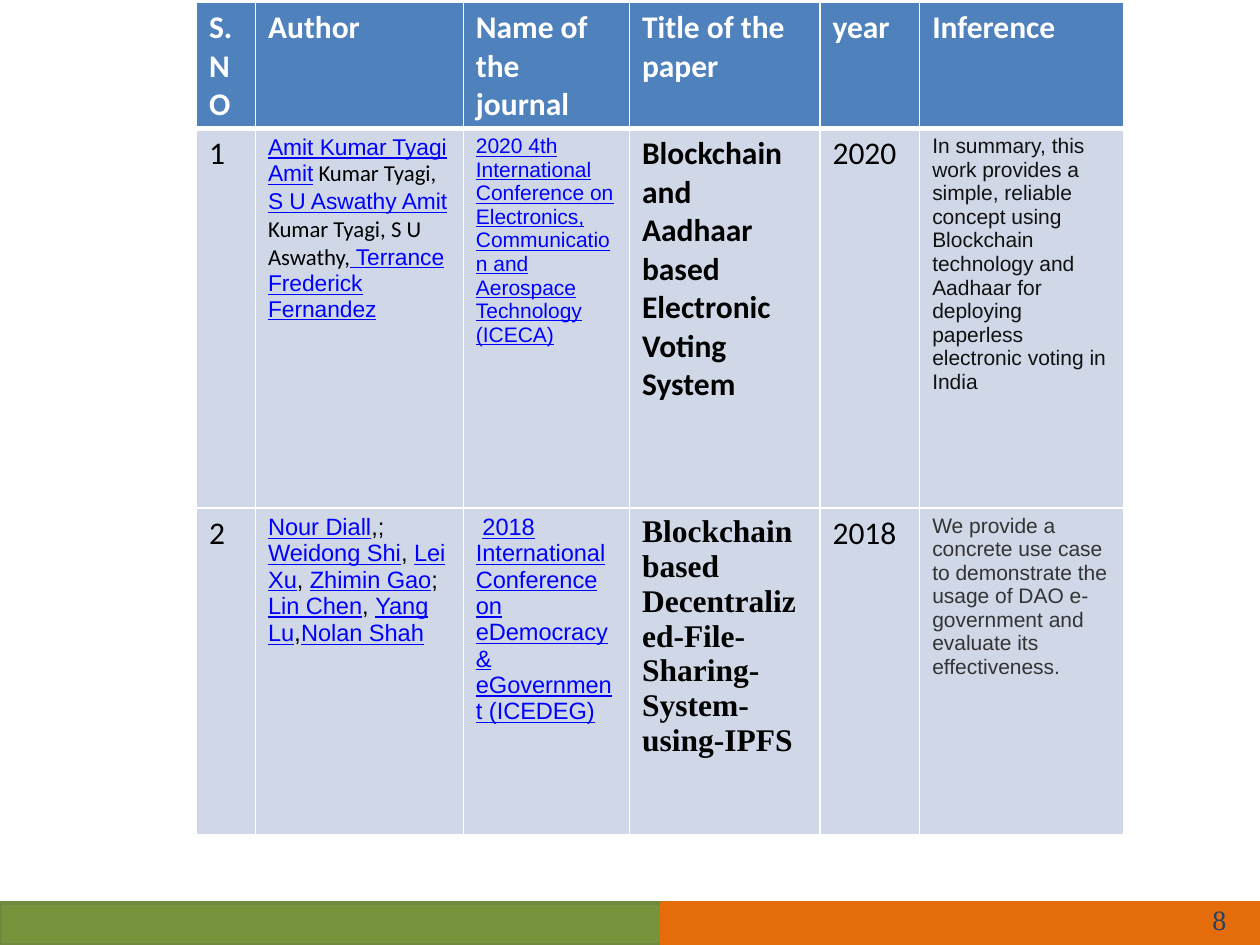
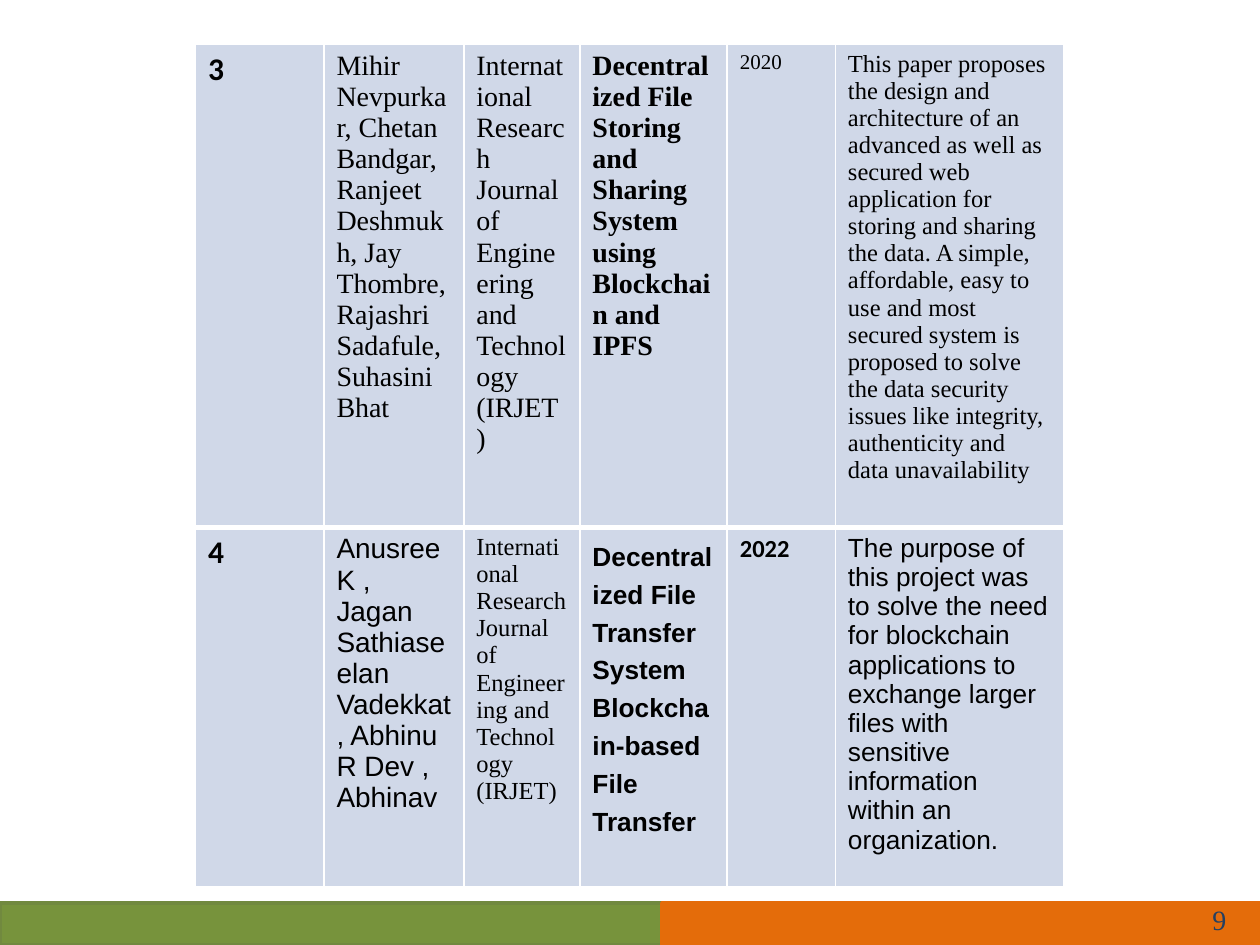
from dataclasses import dataclass, replace

from lxml.etree import SubElement
from pptx import Presentation
from pptx.dml.color import RGBColor
from pptx.enum.shapes import MSO_SHAPE as Preset
from pptx.enum.text import MSO_ANCHOR as Anchor, PP_ALIGN as Align
from pptx.oxml.ns import qn
from pptx.util import Cm, Pt

GREEN = RGBColor(0x77, 0x93, 0x3C)
DARK_GREEN = RGBColor(0x71, 0x89, 0x3F)
ORANGE = RGBColor(0xE4, 0x6C, 0x0A)
NAVY = RGBColor(0x25, 0x40, 0x61)
HEADER_BLUE = RGBColor(0x4F, 0x81, 0xBD)
PALE_BLUE = RGBColor(0xD0, 0xD8, 0xE8)
LINK_BLUE = RGBColor(0x00, 0x00, 0xFF)
WHITE = RGBColor(0xFF, 0xFF, 0xFF)
BLACK = RGBColor(0x00, 0x00, 0x00)
NEAR_BLACK = RGBColor(0x11, 0x11, 0x11)
DARK_GREY = RGBColor(0x33, 0x33, 0x33)

SLIDE_WIDTH, SLIDE_HEIGHT = 25.4, 19.05
BAND_TOP, BAND_SPLIT = 18.2, 13.34


@dataclass(frozen=True)
class Style:
    face: str
    size: float
    color: RGBColor = BLACK
    bold: bool = False
    underline: bool = False

    def apply(self, font):
        font.name = self.face
        font.size = Pt(self.size)
        font.color.rgb = self.color
        font.bold = self.bold
        font.underline = self.underline


@dataclass(frozen=True)
class Entry:
    text: str
    style: Style
    align: Align = None
    line_spacing: float = None
    space_after: float = None


def calibri(size, **options):
    return Style("Calibri", size, **options)


def arial(size, **options):
    return Style("Arial", size, **options)


def times(size, **options):
    return Style("Times New Roman", size, **options)


def link(size):
    return arial(size, color=LINK_BLUE, underline=True)


HEADING = calibri(18, color=WHITE, bold=True)
BODY = calibri(18)
STRONG = replace(BODY, bold=True)
IRJET = "International Research Journal of Engineering and Technology (IRJET)"

HEADINGS = [Entry(heading, HEADING) for heading in (
    "S.NO", "Author", "Name of the journal", "Title of the paper", "year", "Inference")]

VOTING_AUTHORS = [
    Entry("Amit Kumar Tyagi Amit", link(13)),
    Entry(" Kumar Tyagi,", calibri(13)),
    Entry(" S U Aswathy Amit", link(13)),
    Entry(" Kumar Tyagi, S U Aswathy,", calibri(13)),
    Entry(" Terrance Frederick Fernandez", link(13)),
]

SHARING_AUTHORS = [
    Entry(text, style)
    for name, separator, size in (
        ("Nour Diall", ",; ", 13.5), ("Weidong Shi", ", ", 13.5), ("Lei Xu", ", ", 13.5),
        ("Zhimin Gao", "; ", 13.5), ("Lin Chen", ", ", 13.5), ("Yang Lu", ",", 14))
    for text, style in ((name, link(13.5)), (separator, arial(size)))
] + [Entry("Nolan Shah", link(13.5))]

VOTING_PAPER = [
    Entry("1", BODY),
    VOTING_AUTHORS,
    Entry("2020 4th International Conference on Electronics, Communication and "
          "Aerospace Technology (ICECA)", link(12)),
    Entry("Blockchain and Aadhaar based Electronic Voting System", STRONG),
    Entry("2020", BODY),
    Entry("In summary, this work provides a simple, reliable concept using Blockchain "
          "technology and Aadhaar for deploying paperless electronic voting in India",
          arial(12, color=NEAR_BLACK)),
]

SHARING_PAPER = [
    Entry("2", BODY),
    SHARING_AUTHORS,
    [Entry(" ", arial(13.5, bold=True)),
     Entry("2018 International Conference on eDemocracy & eGovernment (ICEDEG)", link(13.5))],
    Entry("Blockchain based Decentralized-File-Sharing-System-using-IPFS",
          times(18, bold=True), align=Align.JUSTIFY),
    Entry("2018", BODY),
    Entry("We provide a concrete use case to demonstrate the usage of DAO e-government "
          "and evaluate its effectiveness.", arial(12, color=DARK_GREY)),
]

STORING_PAPER = [
    Entry("3", STRONG),
    Entry("Mihir Nevpurkar, Chetan Bandgar, Ranjeet Deshmukh, Jay Thombre, "
          "Rajashri Sadafule, Suhasini Bhat", times(16)),
    Entry(IRJET, times(16)),
    Entry("Decentralized File Storing and Sharing System using Blockchain and IPFS",
          times(16, bold=True)),
    Entry("2020", times(12)),
    Entry("This paper proposes the design and architecture of an advanced as well as "
          "secured web application for storing and sharing the data. A simple, affordable, "
          "easy to use and most secured system is proposed to solve the data security "
          "issues like integrity, authenticity and data unavailability", times(14)),
]

TRANSFER_PAPER = [
    Entry("4", STRONG),
    Entry("Anusree K , Jagan Sathiaseelan Vadekkat , Abhinu R Dev , Abhinav", arial(16)),
    Entry(IRJET, times(14)),
    Entry("Decentralized File Transfer System Blockchain-based File Transfer",
          arial(15, bold=True), line_spacing=1.3, space_after=12),
    Entry("2022", calibri(14, bold=True)),
    Entry("The purpose of this project was to solve the need for blockchain applications "
          "to exchange larger files with sensitive information within an organization.",
          arial(15)),
]


def add_band(slide, left, right, fill, outline):
    band = slide.shapes.add_shape(
        Preset.RECTANGLE, Cm(left), Cm(BAND_TOP), Cm(right - left), Cm(SLIDE_HEIGHT - BAND_TOP))
    band.shadow.inherit = False
    band.fill.solid()
    band.fill.fore_color.rgb = fill
    band.line.color.rgb = outline
    band.line.width = Pt(2)


def add_footer(slide, number):
    add_band(slide, 0, BAND_SPLIT, GREEN, DARK_GREEN)
    add_band(slide, BAND_SPLIT, SLIDE_WIDTH, ORANGE, ORANGE)
    page = slide.shapes.add_textbox(Cm(19.05), Cm(18.03), Cm(5.92), Cm(1.02)).text_frame
    page.word_wrap = True
    page.vertical_anchor = Anchor.MIDDLE
    paragraph = page.paragraphs[0]
    paragraph.text = str(number)
    paragraph.alignment = Align.RIGHT
    times(16, color=NAVY).apply(paragraph.font)


def set_borders(cell, top, bottom):
    properties = cell._tc.get_or_add_tcPr()
    for side, width in (("L", 1), ("R", 1), ("T", top), ("B", bottom)):
        border = SubElement(properties, qn(f"a:ln{side}"), w=str(Pt(width)))
        fill = SubElement(border, qn("a:solidFill"))
        SubElement(fill, qn("a:srgbClr"), val=str(WHITE))


def write_entry(cell, entry):
    paragraph = cell.text_frame.paragraphs[0]
    if isinstance(entry, list):
        for part in entry:
            run = paragraph.add_run()
            run.text = part.text
            part.style.apply(run.font)
        return
    paragraph.text = entry.text
    entry.style.apply(paragraph.font)
    paragraph.alignment = entry.align
    paragraph.line_spacing = entry.line_spacing
    if entry.space_after:
        paragraph.space_after = Pt(entry.space_after)


def add_papers(slide, left, top, widths, heights, rows):
    papers = slide.shapes.add_table(
        len(rows), len(widths), Cm(left), Cm(top), Cm(sum(widths)), Cm(sum(heights))).table
    papers.first_row = rows[0] is HEADINGS
    papers.horz_banding = False
    for column, width in zip(papers.columns, widths):
        column.width = Cm(width)
    for index, (row, height, entries) in enumerate(zip(papers.rows, heights, rows)):
        row.height = Cm(height)
        for cell, entry in zip(row.cells, entries):
            set_borders(cell, 3 if index == 1 else 1, 3 if index == 0 else 1)
            cell.fill.solid()
            cell.fill.fore_color.rgb = HEADER_BLUE if entries is HEADINGS else PALE_BLUE
            write_entry(cell, entry)


def add_survey_slide(deck, number, **papers):
    slide = deck.slides.add_slide(deck.slide_layouts[6])
    add_footer(slide, number)
    add_papers(slide, **papers)


def main():
    deck = Presentation()
    deck.slide_width, deck.slide_height = Cm(SLIDE_WIDTH), Cm(SLIDE_HEIGHT)
    add_survey_slide(
        deck, 8, left=3.96, top=0.05,
        widths=[1.19, 4.19, 3.35, 3.84, 2.01, 4.11], heights=[2.31, 7.65, 6.58],
        rows=[HEADINGS, VOTING_PAPER, SHARING_PAPER])
    add_survey_slide(
        deck, 9, left=3.94, top=0.89,
        widths=[2.59, 2.82, 2.34, 2.97, 2.18, 4.6], heights=[5.21, 1.17],
        rows=[STORING_PAPER, TRANSFER_PAPER])
    deck.save("out.pptx")


if __name__ == "__main__":
    main()
